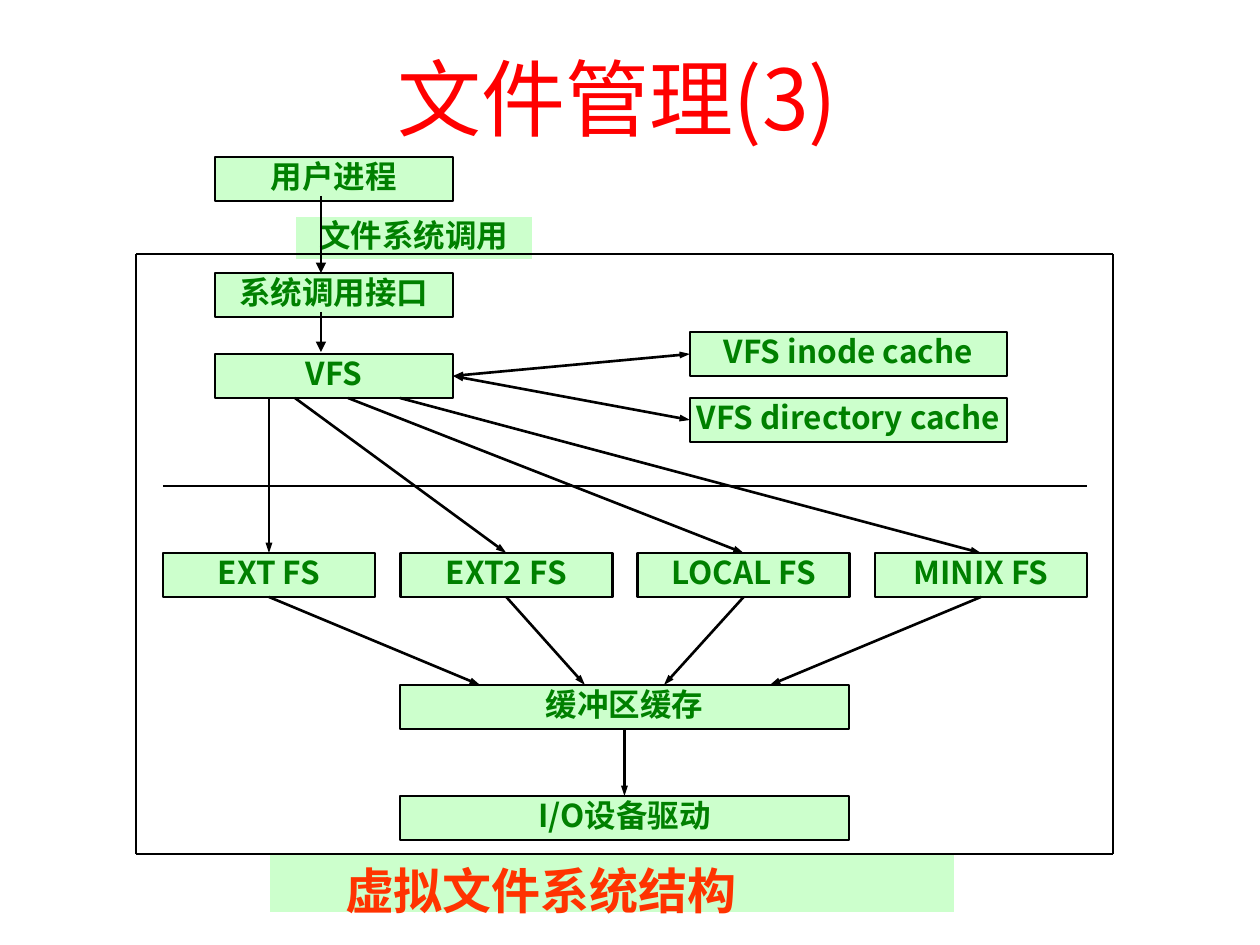
from lxml import etree
from pptx import Presentation
from pptx import util as u
from pptx.dml.color import RGBColor
from pptx.enum import shapes, text
from pptx.oxml.ns import qn

PX = 914400 // 126
FONT = "Noto Sans CJK SC"
COLORS = {"title": "FF0000", "box": "CCFFCC", "label": "008000",
          "caption": "FF3300", "line": "000000", "plain": "FFFFFF"}
TOP, LEFT, BOTTOM, RIGHT = range(4)

# Content: name -> (wording, left, top, width), all in px
TITLE = "文件管理(3)"
CAPTION = "虚拟文件系统结构"
BOX_HEIGHT = 44
BOXES = {
    "user": ("用户进程", 215, 157, 238),
    "interface": ("系统调用接口", 215, 273, 238),
    "vfs": ("VFS", 215, 354, 238),
    "inode": ("VFS inode cache", 690, 332, 317),
    "directory": ("VFS directory cache", 690, 398, 317),
    "buffer": ("缓冲区缓存", 400, 685, 449),
    "driver": ("I/O设备驱动", 400, 796, 449),
}
FILE_SYSTEMS = ["EXT FS", "EXT2 FS", "LOCAL FS", "MINIX FS"]
FS_LEFT, FS_RIGHT, FS_TOP, FS_WIDTH = 163, 1087, 553, 212
VFS_EXITS = [269, 295, 348, 400]        # x where each arrow leaves VFS
BUFFER_ENTRIES = [480, 585, 664, 770]   # x where each arrow reaches the buffer
FRAME = (136, 254, 1113, 854)           # left, top, right, bottom
CALL_X = 321

presentation = Presentation()
presentation.slide_width, presentation.slide_height = u.Inches(10), u.Inches(7.5)
slide = presentation.slides.add_slide(presentation.slide_layouts[5])


def px(*values):
    return [u.Emu(round(value * PX)) for value in values]


def color(name):
    return RGBColor.from_string(COLORS[name])


def write(shape, wording, size, color_name, bold=True, align=text.PP_ALIGN.CENTER):
    frame = shape.text_frame
    frame.text = wording
    frame.word_wrap = True
    frame.margin_left = frame.margin_right = frame.margin_top = frame.margin_bottom = 0
    paragraph = frame.paragraphs[0]
    paragraph.alignment = align
    font = paragraph.font
    font.size, font.bold, font.name = u.Pt(size), bold, FONT
    font.color.rgb = color(color_name)
    properties = paragraph._p.pPr.find(qn("a:defRPr"))
    etree.SubElement(properties, qn("a:ea")).set("typeface", FONT)


def add_box(left, top, width, height=BOX_HEIGHT, line="line", weight=1.5):
    shape = slide.shapes.add_shape(shapes.MSO_SHAPE.RECTANGLE,
                                   *px(left, top, width, height))
    shape.shadow.inherit = False
    shape.fill.solid()
    shape.fill.fore_color.rgb = color("box")
    shape.line.color.rgb = color(line)
    shape.line.width = u.Pt(weight)
    shape.text_frame.vertical_anchor = text.MSO_ANCHOR.TOP
    return shape


def add_line(start, end, weight=1.5, arrows=()):
    """Each end is an (x, y) point or a (shape, side) joint."""
    points = [point if isinstance(point[0], (int, float)) else (0, 0)
              for point in (start, end)]
    connector = slide.shapes.add_connector(shapes.MSO_CONNECTOR.STRAIGHT,
                                           *px(*points[0], *points[1]))
    for point, connect in ((start, connector.begin_connect), (end, connector.end_connect)):
        if not isinstance(point[0], (int, float)):
            connect(*point)
    connector.line.color.rgb = color("line")
    connector.line.width = u.Pt(weight)
    outline = connector.line._get_or_add_ln()
    for name in arrows:
        arrow = etree.SubElement(outline, qn("a:" + name))
        arrow.set("type", "triangle")
        arrow.set("w", "sm" if weight > 1 else "med")
        arrow.set("len", "med")
    etree.SubElement(connector._element.spPr, qn("a:effectLst"))


# Title
title = slide.shapes.title
title.left, title.top, title.width, title.height = px(292, 22, 651, 150)
title.text_frame.vertical_anchor = text.MSO_ANCHOR.MIDDLE
write(title, TITLE, 48, "title", bold=False)

# Boxes
boxes = {}
for name, (wording, left, top, width) in BOXES.items():
    boxes[name] = add_box(left, top, width)
    write(boxes[name], wording, 18, "label")

step = (FS_RIGHT - FS_LEFT - FS_WIDTH) / (len(FILE_SYSTEMS) - 1)
fs_boxes = []
for index, wording in enumerate(FILE_SYSTEMS):
    fs_boxes.append(add_box(FS_LEFT + index * step, FS_TOP, FS_WIDTH))
    write(fs_boxes[-1], wording, 18, "label")

# Call label and caption
call_label = add_box(295, 216, 238, line="plain")
write(call_label, "文件系统调用", 18, "label")
caption = add_box(269, 854, 686, 59, line="plain", weight=0.75)
write(caption, CAPTION, 28, "caption", align=text.PP_ALIGN.LEFT)
caption.text_frame.margin_left, caption.text_frame.margin_top = px(76, 7)

# Frame and divider
left, top, right, bottom = FRAME
corners = [(left, top), (right, top), (right, bottom), (left, bottom)]
for index, corner in enumerate(corners):
    add_line(corner, corners[(index + 1) % 4], 0.75)
add_line((FS_LEFT, 486), (FS_RIGHT, 486))

# Calls down to VFS, and its caches
add_line((CALL_X, 196), (CALL_X, 273), 0.75, ["tailEnd"])
add_line((CALL_X, 312), (CALL_X, 352), 0.75, ["tailEnd"])
for cache in ("inode", "directory"):
    add_line((boxes["vfs"], RIGHT), (boxes[cache], LEFT), arrows=["headEnd", "tailEnd"])

# VFS to file systems, buffer and driver
vfs_bottom = BOXES["vfs"][2] + BOX_HEIGHT
buffer_top = BOXES["buffer"][2]
for box, exit_x, entry_x in zip(fs_boxes, VFS_EXITS, BUFFER_ENTRIES):
    add_line((exit_x, vfs_bottom), (box, TOP), arrows=["tailEnd"])
    add_line((box, BOTTOM), (entry_x, buffer_top), arrows=["tailEnd"])
add_line((boxes["buffer"], BOTTOM), (boxes["driver"], TOP), arrows=["tailEnd"])

presentation.save("out.pptx")
